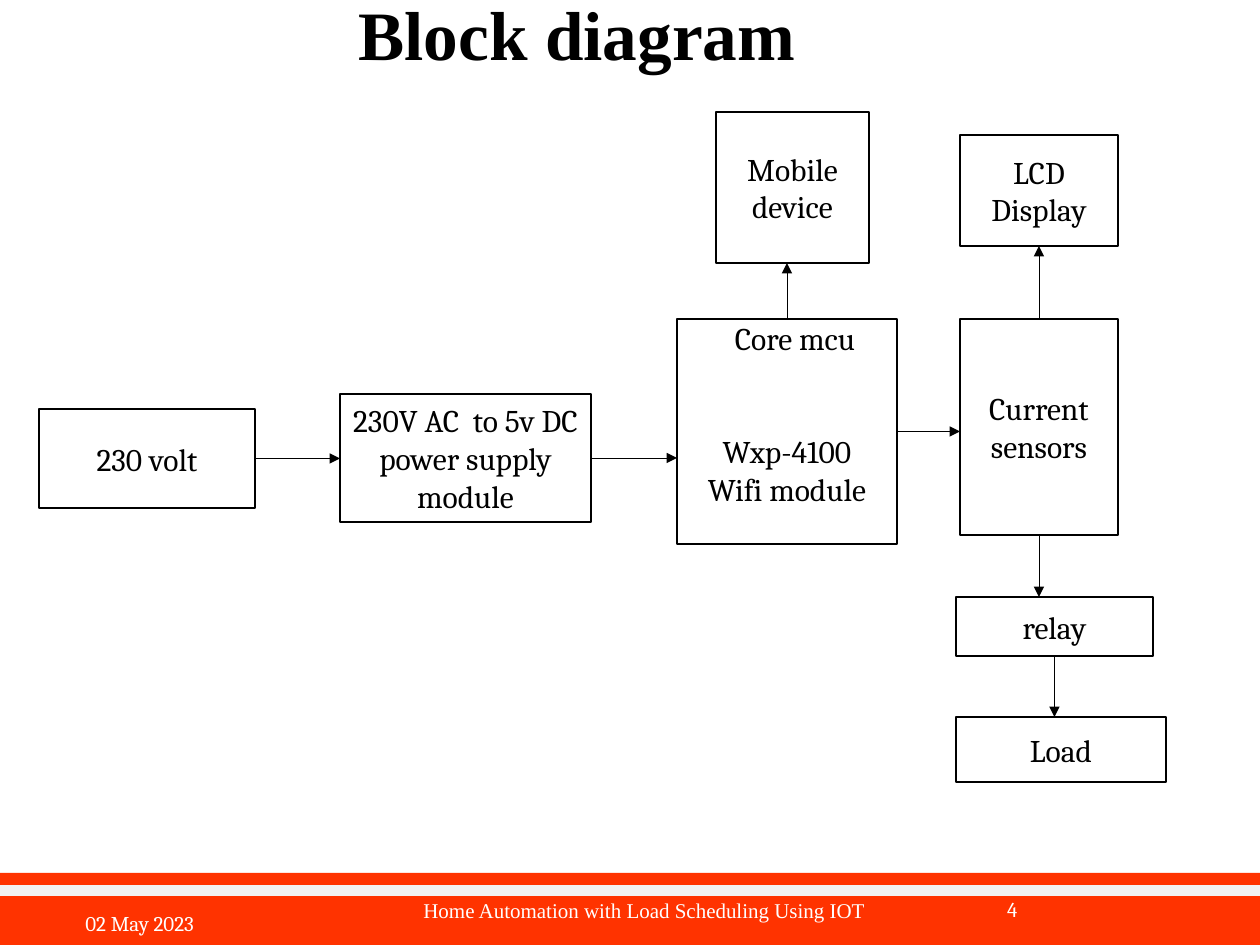
from lxml.etree import SubElement
from pptx import Presentation
from pptx.dml.color import RGBColor
from pptx.enum.shapes import MSO_CONNECTOR as LINE, MSO_SHAPE as SHAPE
from pptx.enum.text import MSO_ANCHOR as ANCHOR, MSO_AUTO_SIZE as FIT, PP_ALIGN as ALIGN
from pptx.oxml.ns import qn
from pptx.util import Emu, Pt

WIDTH, HEIGHT = 1260, 945
SCALE = 914400 // 126
BLACK, WHITE, RED, PALE = "000000", "FFFFFF", "FF3300", "F2F2F2"
SERIF, BODY = "Times New Roman", "Cambria"

TITLE = ("Block diagram", (133, 1, 888, 151))
FOOTER = [  # text, box, alignment, font
    ("02 May 2023", (73, 906, 284, 35), ALIGN.LEFT, BODY),
    ("4", (890, 891, 140, 37), ALIGN.RIGHT, BODY),
    ("Home Automation with Load Scheduling Using IOT", (303, 875, 683, 70), ALIGN.CENTER, SERIF),
]
BLOCKS = {  # name: (lines, box)
    "mains": (["230 volt"], (39, 409, 216, 99)),
    "supply": (["230V AC  to 5v DC power supply module"], (340, 394, 251, 128)),
    "board": (["Core mcu", "Wxp-4100", "Wifi module"], (677, 319, 220, 225)),
    "sensor": (["Current sensors"], (960, 319, 158, 216)),
    "mobile": (["Mobile device"], (716, 112, 153, 151)),
    "lcd": (["LCD", "Display"], (960, 135, 158, 111)),
    "relay": (["relay"], (956, 597, 197, 59)),
    "load": (["Load"], (956, 717, 210, 65)),
}
ARROWS = [  # source, target, direction
    ("mains", "supply", "right"),
    ("supply", "board", "right"),
    ("board", "sensor", "right"),
    ("board", "mobile", "up"),
    ("sensor", "lcd", "up"),
    ("sensor", "relay", "down"),
    ("relay", "load", "down"),
]


def px(*vals):
    """Turn pixels into EMU lengths."""
    return [Emu(round(v * SCALE)) for v in vals]


def rgb(code):
    """Turn a hex string into a colour."""
    return RGBColor.from_string(code)


def write(shape, lines, size, color, font, align=ALIGN.CENTER, anchor=ANCHOR.MIDDLE):
    """Fill a shape with formatted paragraphs."""
    frame = shape.text_frame
    frame.text = "\n".join(lines)
    frame.word_wrap = True
    frame.auto_size = FIT.NONE
    frame.vertical_anchor = anchor
    for para in frame.paragraphs:
        para.alignment = align
        for run in para.runs:
            run.font.size, run.font.name = Pt(size), font
            run.font.color.rgb = rgb(color)
    return frame


def add_rect(box, fill, edge=None):
    """Draw a plain rectangle."""
    rect = slide.shapes.add_shape(SHAPE.RECTANGLE, *px(*box))
    rect.shadow.inherit = False
    rect.fill.solid()
    rect.fill.fore_color.rgb = rgb(fill)
    if edge:
        rect.line.color.rgb = rgb(edge)
        rect.line.width = Pt(1)
    else:
        rect.line.fill.background()
    return rect


def add_line(ends, color, width, arrow=False):
    """Draw a straight line, with an arrowhead if asked."""
    link = slide.shapes.add_connector(LINE.STRAIGHT, *px(*ends))
    link.line.color.rgb = rgb(color)
    link.line.width = Pt(width)
    if arrow:
        SubElement(link.line._get_or_add_ln(), qn("a:tailEnd"), type="triangle")
    SubElement(link._element.spPr, qn("a:effectLst"))


def route(source, target, way):
    """Run from the middle of a source side straight to the target."""
    x, y, w, h = BLOCKS[source][1]
    tx, ty, _, th = BLOCKS[target][1]
    if way == "right":
        return x + w, y + h / 2, tx, y + h / 2
    mid = x + w / 2
    return (mid, y, mid, ty + th) if way == "up" else (mid, y + h, mid, ty)


deck = Presentation()
deck.slide_width, deck.slide_height = px(WIDTH, HEIGHT)
slide = deck.slides.add_slide(deck.slide_layouts[5])

add_rect((-3, 873, WIDTH + 3, 72), RED)
add_line((-3, 890.5, WIDTH, 890.5), PALE, 6)

text, box = TITLE
head = slide.shapes.title
head.left, head.top, head.width, head.height = px(*box)
frame = write(head, [text], 39.6, BLACK, SERIF, anchor=ANCHOR.TOP)
frame.margin_top = 0
frame.paragraphs[0].line_spacing = 0.9
frame.paragraphs[0].runs[0].font.bold = True

for text, box, align, font in FOOTER:
    write(slide.shapes.add_textbox(*px(*box)), [text], 12, WHITE, font, align)

frames = {}
for name, (lines, box) in BLOCKS.items():
    frames[name] = write(add_rect(box, WHITE, BLACK), lines, 18, BLACK, BODY)

# The board's name sits at the top, two lines above its module
board = frames["board"]
board.vertical_anchor = ANCHOR.TOP
board.margin_top = 0
first, second = board.paragraphs[:2]
first._p.get_or_add_pPr().set("marL", str(16 * SCALE))
second.space_before = Pt(43)

for arrow in ARROWS:
    add_line(route(*arrow), BLACK, 0.5, arrow=True)

deck.save("out.pptx")
